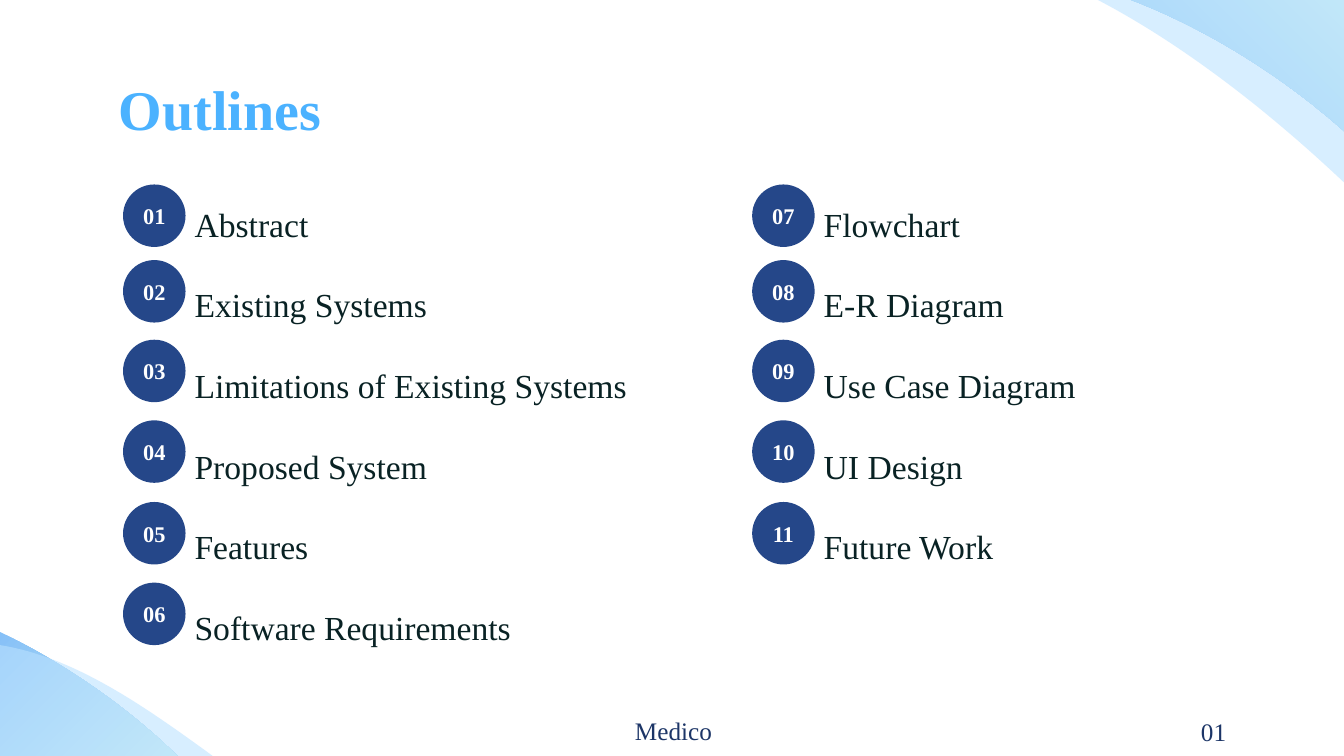
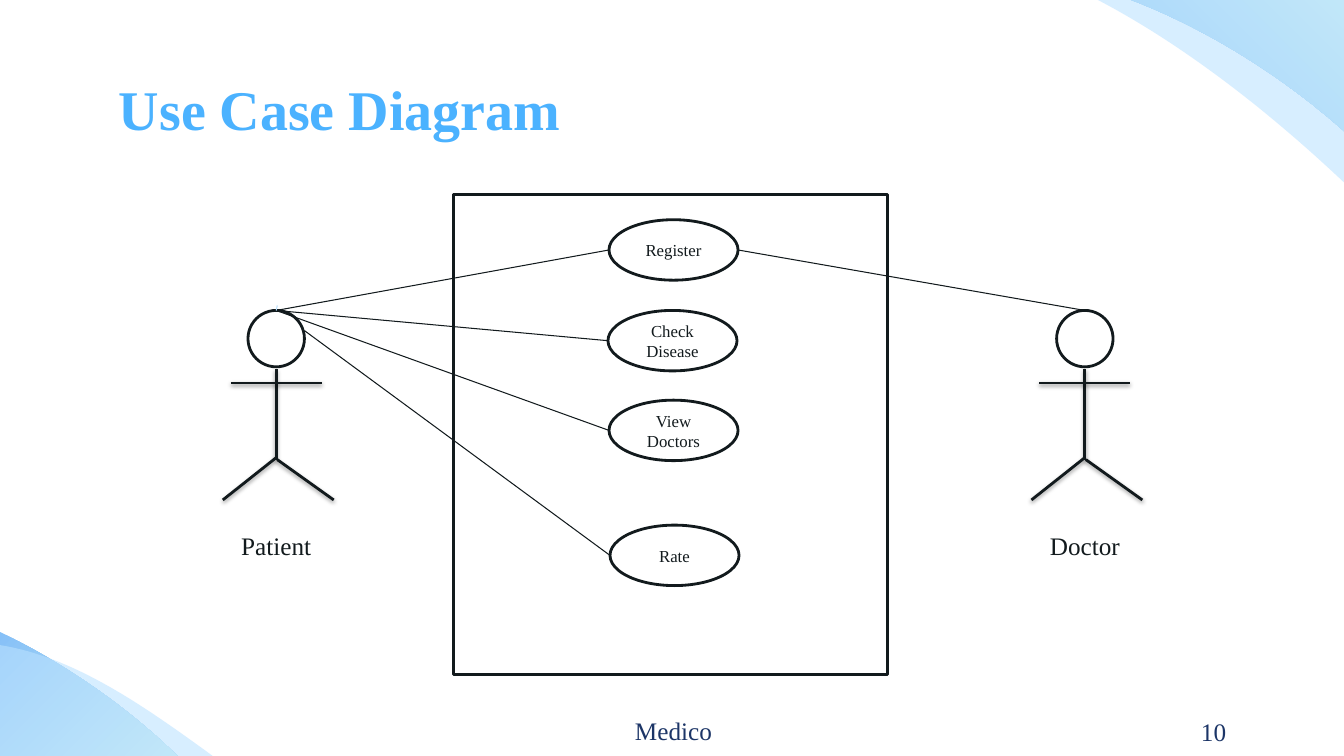
import pptx
import pptx.util
import pptx.dml.color
import pptx.enum.shapes
import pptx.enum.text
import pptx.oxml
import pptx.oxml.ns
from dataclasses import dataclass
from typing import Any, Optional

Inches = pptx.util.Inches
Pt = pptx.util.Pt
Kind = pptx.enum.shapes.MSO_SHAPE
Align = pptx.enum.text.PP_ALIGN
Anchor = pptx.enum.text.MSO_ANCHOR
Point = tuple[float, float]


# Theme
@dataclass(frozen=True)
class Theme:
    font: str = "Times New Roman"
    title: str = "4BB2FF"
    body: str = "092224"
    badge: str = "254789"
    foot: str = "1C3567"
    ink: str = "121A1D"
    white: str = "FFFFFF"
    tick: str = "B5DDFB"
    veil: str = "BBE2FF"
    sky: str = "86C0F7"
    mint: str = "CBEFF2"
    big: int = 40
    text: int = 24
    label: int = 18
    num: int = 16
    small: int = 12
    thick: float = 2
    thin: float = 0.75


THEME = Theme()
WIDE, HIGH = 13.33, 7.5


@dataclass(frozen=True)
class Swoosh:
    """Corner piece bounded by a cubic curve and the slide corner."""
    corner: Point
    curve: tuple[Point, Point, Point, Point]
    angle: Optional[int] = None  # gradient angle; None gives a clear veil


@dataclass(frozen=True)
class Column:
    left: float
    first: int
    items: tuple[str, ...]


@dataclass(frozen=True)
class Actor:
    name: str
    mid: float


@dataclass(frozen=True)
class Case:
    name: str
    left: float
    top: float


SWOOSHES = (
    Swoosh((WIDE, 0), ((11.22, 0), (11.95, 0.28), (12.7, 0.74), (WIDE, 1.3)), 45),
    Swoosh((WIDE, 0), ((10.89, 0), (11.75, 0.45), (12.6, 1.12), (WIDE, 1.81))),
    Swoosh((0, HIGH), ((0, 6.27), (0.62, 6.57), (1.25, 7), (1.76, HIGH)), 315),
    Swoosh((0, HIGH), ((0, 6.4), (0.75, 6.52), (1.45, 7.02), (2.11, HIGH))),
)

# Outline slide
TOPS = (1.83, 2.58, 3.37, 4.17, 4.98, 5.78)
BADGE = 0.62
COLUMNS = (
    Column(1.22, 1, ("Abstract", "Existing Systems",
                     "Limitations of Existing Systems", "Proposed System",
                     "Features", "Software Requirements")),
    Column(7.46, 7, ("Flowchart", "E-R Diagram", "Use Case Diagram",
                     "UI Design", "Future Work")),
)

# Use case slide
PATIENT, DOCTOR = Actor("Patient", 2.74), Actor("Doctor", 10.76)
CASES = (Case("Register", 6.04, 2.18), Case("Check Disease", 6.03, 3.08),
         Case("View Doctors", 6.04, 3.97), Case("Rate", 6.05, 5.21))
OVAL_W, OVAL_H = 1.28, 0.6
HEAD, HEAD_TOP = 0.56, 3.08
LIMBS = (((0, 3.66), (0, 4.56)), ((-0.45, 3.8), (0.45, 3.8)),
         ((0.01, 4.56), (0.57, 4.96)), ((-0.53, 4.96), (0, 4.54)))


def tint(code: str) -> pptx.dml.color.RGBColor:
    return pptx.dml.color.RGBColor.from_string(code)


def style(par: Any, size: float, color: str, bold: bool = False,
          align: Any = Align.LEFT) -> None:
    par.alignment = align
    for run in par.runs:
        run.font.name = THEME.font
        run.font.size = Pt(size)
        run.font.bold = bold
        run.font.color.rgb = tint(color)


def write(slide: Any, text: str, left: float, top: float, width: float,
          height: float, size: float, color: str, bold: bool = False,
          align: Any = Align.LEFT, pad: Optional[float] = None,
          anchor: Any = Anchor.TOP, gap: Optional[float] = None) -> None:
    box = slide.shapes.add_textbox(
        Inches(left), Inches(top), Inches(width), Inches(height))
    frame = box.text_frame
    frame.word_wrap = True
    frame.vertical_anchor = anchor
    if pad is not None:
        frame.margin_left = frame.margin_right = Inches(pad)
        frame.margin_top = frame.margin_bottom = Inches(pad)
    frame.text = text
    for par in frame.paragraphs:
        style(par, size, color, bold, align)
        if gap:
            par.line_spacing = Pt(gap)


def shape(slide: Any, kind: Any, left: float, top: float, width: float,
          height: float, fill: str, line: Optional[str] = None) -> Any:
    item = slide.shapes.add_shape(
        kind, Inches(left), Inches(top), Inches(width), Inches(height))
    item.shadow.inherit = False
    item.fill.solid()
    item.fill.fore_color.rgb = tint(fill)
    if line:
        item.line.color.rgb = tint(line)
        item.line.width = Pt(THEME.thick)
    else:
        item.line.fill.background()
    return item


def caption(item: Any, text: str, size: float, color: str,
            bold: bool = False) -> None:
    item.text_frame.text = text
    item.text_frame.vertical_anchor = Anchor.MIDDLE
    style(item.text_frame.paragraphs[0], size, color, bold, Align.CENTER)


def stroke(slide: Any, start: Point, end: Point, width: float,
           color: str = THEME.ink, shade: bool = False) -> Any:
    line = slide.shapes.add_connector(
        pptx.enum.shapes.MSO_CONNECTOR.STRAIGHT,
        *(Inches(n) for n in start + end))
    line.line.color.rgb = tint(color)
    line.line.width = Pt(width)
    glow = ""
    if shade:
        glow = (f'<a:outerShdw blurRad="{Pt(3.1)}" dist="{Pt(1.6)}" '
                'dir="5400000" rotWithShape="0"><a:srgbClr val="000000">'
                '<a:alpha val="38000"/></a:srgbClr></a:outerShdw>')
    line._element.spPr.append(pptx.oxml.parse_xml(
        f'<a:effectLst {pptx.oxml.ns.nsdecls("a")}>{glow}</a:effectLst>'))
    return line


def bend(curve: tuple[Point, Point, Point, Point], steps: int = 30) -> list[Point]:
    """Points along a cubic curve."""
    spots = []
    for i in range(steps + 1):
        t = i / steps
        parts = ((1 - t) ** 3, 3 * t * (1 - t) ** 2, 3 * t * t * (1 - t), t ** 3)
        spots.append((sum(w * p[0] for w, p in zip(parts, curve)),
                      sum(w * p[1] for w, p in zip(parts, curve))))
    return spots


def sweep(slide: Any, part: Swoosh) -> None:
    pen = slide.shapes.build_freeform(*(Inches(n) for n in part.corner))
    pen.add_line_segments([(Inches(x), Inches(y)) for x, y in bend(part.curve)])
    item = pen.convert_to_shape()
    item.shadow.inherit = False
    item.line.fill.background()
    if part.angle is None:
        item.fill.solid()
        item.fill.fore_color.rgb = tint(THEME.veil)
        code = item._element.spPr.find(".//" + pptx.oxml.ns.qn("a:srgbClr"))
        code.append(pptx.oxml.parse_xml(
            f'<a:alpha {pptx.oxml.ns.nsdecls("a")} val="58000"/>'))
    else:
        item.fill.gradient()
        item.fill.gradient_angle = part.angle
        for stop, color in zip(item.fill.gradient_stops, (THEME.sky, THEME.mint)):
            stop.color.rgb = tint(color)


# Shared frame: corners, title, footer
def base(deck: Any, title: str, page: str) -> Any:
    slide = deck.slides.add_slide(deck.slide_layouts[6])
    for part in SWOOSHES:
        sweep(slide, part)
    write(slide, title, 1.05, 0.65, 11.23, 0.84, THEME.big, THEME.title,
          bold=True, pad=0.13, anchor=Anchor.MIDDLE)
    write(slide, "Medico", 4.1, 7.05, 5.16, 0.4, THEME.label, THEME.foot,
          align=Align.CENTER)
    write(slide, page, 10.83, 7.06, 1.43, 0.4, THEME.label, THEME.foot,
          align=Align.RIGHT)
    return slide


def outline(deck: Any) -> None:
    slide = base(deck, "Outlines", "01")
    for col in COLUMNS:
        write(slide, "\n".join(col.items), col.left + 0.71, 1.62, 4.9,
              0.8 * len(col.items), THEME.text, THEME.body, pad=0, gap=57.6)
        for i, top in enumerate(TOPS[:len(col.items)]):
            dot = shape(slide, Kind.OVAL, col.left, top, BADGE, BADGE, THEME.badge)
            caption(dot, f"{col.first + i:02d}", THEME.num, THEME.white, bold=True)


def person(slide: Any, actor: Actor) -> Any:
    head = shape(slide, Kind.OVAL, actor.mid - HEAD / 2, HEAD_TOP, HEAD, HEAD,
                 THEME.white, THEME.ink)
    for (x1, y1), (x2, y2) in LIMBS:
        stroke(slide, (actor.mid + x1, y1), (actor.mid + x2, y2),
               THEME.thick, shade=True)
    write(slide, actor.name, actor.mid - 0.6, 5.21, 1.2, 0.4, THEME.label,
          THEME.ink, align=Align.CENTER)
    return head


def diagram(deck: Any) -> None:
    slide = base(deck, "Use Case Diagram", "10")
    # System box and its cases
    shape(slide, Kind.RECTANGLE, 4.5, 1.93, 4.3, 4.76, THEME.white, THEME.ink)
    for case in CASES:
        oval = shape(slide, Kind.OVAL, case.left, case.top, OVAL_W, OVAL_H,
                     THEME.white, THEME.ink)
        caption(oval, case.name, THEME.small, THEME.ink)
    heads = {actor: person(slide, actor) for actor in (PATIENT, DOCTOR)}

    # Links from the heads to the cases
    for actor, case in [(PATIENT, c) for c in CASES[:3]] + [(DOCTOR, CASES[0])]:
        side = case.left + (OVAL_W if actor is DOCTOR else 0)
        link = stroke(slide, (actor.mid, HEAD_TOP),
                      (side, case.top + OVAL_H / 2), THEME.thin)
        link.begin_connect(heads[actor], 0)
    rate = CASES[3]
    stroke(slide, (3.02, 3.28), (rate.left, rate.top + OVAL_H / 2), THEME.thin)
    stroke(slide, (2.75, 3.03), (2.74, HEAD_TOP), THEME.thin, THEME.tick)


def main() -> None:
    deck = pptx.Presentation()
    deck.slide_width, deck.slide_height = Inches(WIDE), Inches(HIGH)
    outline(deck)
    diagram(deck)
    deck.save("out.pptx")


if __name__ == "__main__":
    main()
